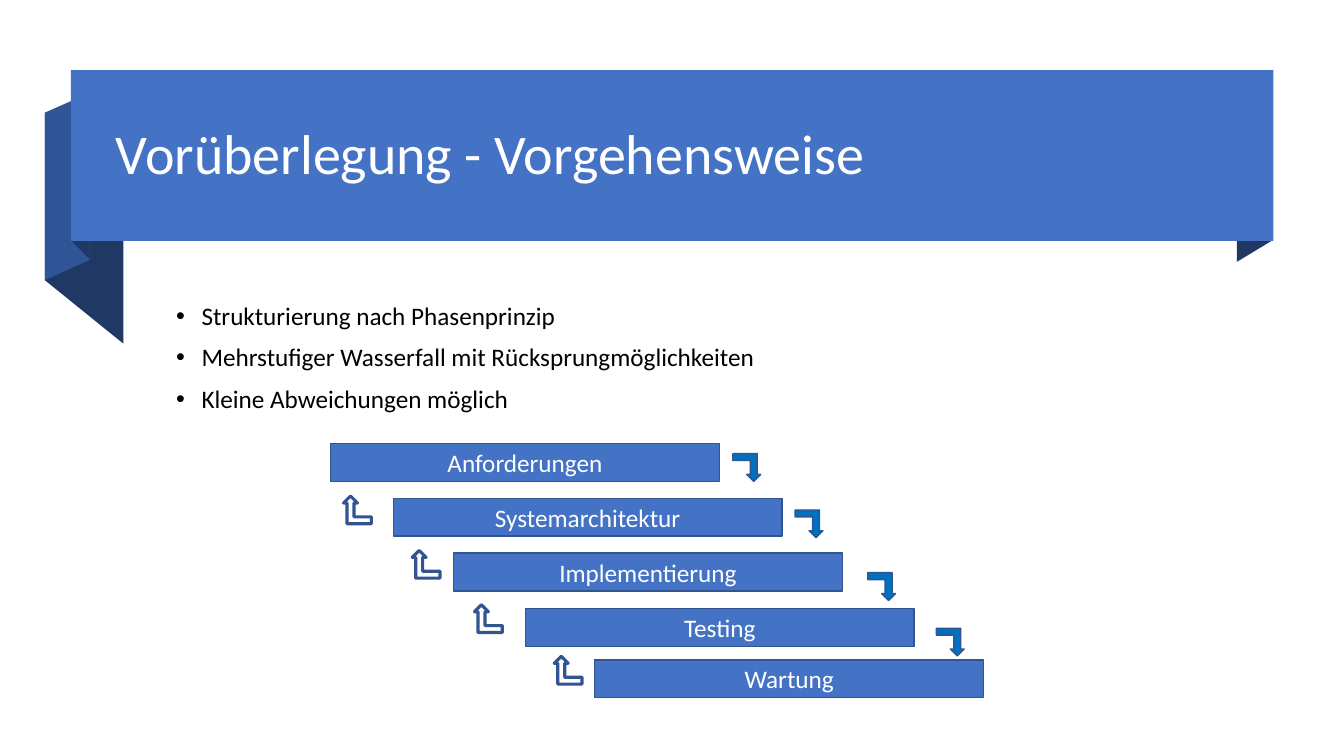
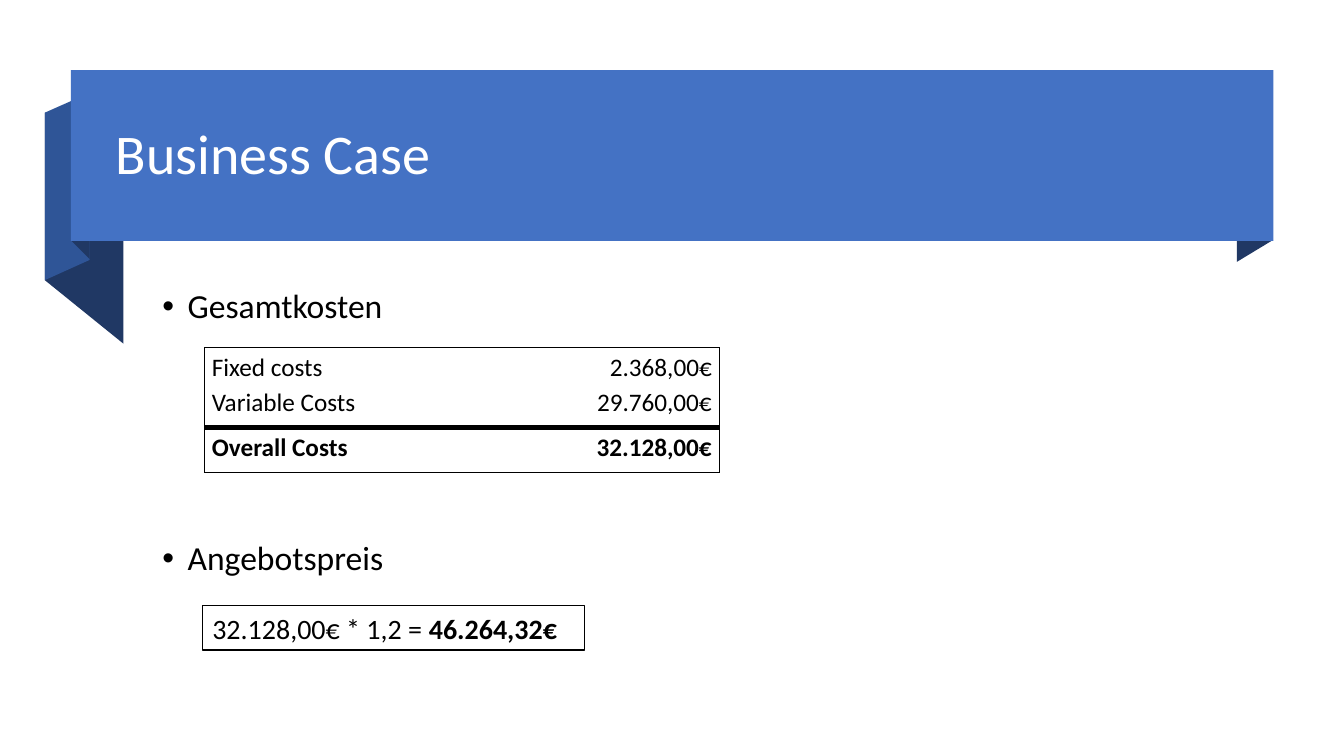
from lxml import etree
from pptx import Presentation
from pptx.dml.color import RGBColor
from pptx.enum.shapes import MSO_SHAPE
from pptx.enum.text import MSO_ANCHOR, PP_ALIGN
from pptx.oxml.ns import qn
from pptx.util import Cm, Pt

# Shared style
FONT = "Calibri"
BLUE = RGBColor(0x44, 0x72, 0xC4)
SIDE_BLUE = RGBColor(0x2F, 0x55, 0x97)
NAVY = RGBColor(0x20, 0x38, 0x64)
OUTLINE = RGBColor(0x32, 0x54, 0x91)
ARROW_BLUE = RGBColor(0x00, 0x70, 0xC0)
WHITE = RGBColor(0xFF, 0xFF, 0xFF)
BLACK = RGBColor(0x00, 0x00, 0x00)

RECTANGLE = MSO_SHAPE.RECTANGLE
BENT_ARROW = MSO_SHAPE.BENT_UP_ARROW
TOP, MIDDLE = MSO_ANCHOR.TOP, MSO_ANCHOR.MIDDLE
LEFT, CENTER, RIGHT = PP_ALIGN.LEFT, PP_ALIGN.CENTER, PP_ALIGN.RIGHT

# Folded ribbon behind the title band, back to front, in cm
RIBBON_FOLDS = [
    (NAVY, [(3.11, 8.66), (1.13, 7.06), (1.13, 2.84), (3.11, 4.45)]),
    (SIDE_BLUE, [(2.26, 6.55), (1.13, 7.06), (1.13, 2.84), (2.26, 2.34)]),
    (NAVY, [(2.26, 6.53), (1.8, 6.07), (1.8, 1.78), (2.26, 2.26)]),
    (NAVY, [(32.08, 6.05), (31.17, 6.6), (31.17, 2.31), (32.08, 1.78)]),
]


class Deck:
    """Holds the presentation, its style and the current slide."""

    def __init__(self):
        self.presentation = Presentation()
        self.presentation.slide_width = Cm(33.87)
        self.presentation.slide_height = Cm(19.05)
        self.slide = None

    def add_slide(self, title):
        layout = self.presentation.slide_layouts[6]
        self.slide = self.presentation.slides.add_slide(layout)
        for color, points in RIBBON_FOLDS:
            self.fold(color, points)
        self.shape(RECTANGLE, 1.79, 1.77, 30.3, 4.3, BLUE)
        frame = self.text_frame(2.67, 2.24, 28.52, 3.38, MIDDLE)
        frame.text = title
        frame.paragraphs[0].line_spacing = 0.9
        self.format(frame.paragraphs[0], 40, WHITE)

    def format(self, paragraph, size, color, bold=False):
        for run in paragraph.runs:
            run.font.name = FONT
            run.font.size = Pt(size)
            run.font.color.rgb = color
            run.font.bold = bold

    def paint(self, shape, fill, line=None, width=1):
        shape.shadow.inherit = False
        shape.fill.solid()
        shape.fill.fore_color.rgb = fill
        if line is None:
            shape.line.fill.background()
        else:
            shape.line.color.rgb = line
            shape.line.width = Pt(width)

    def fold(self, color, points):
        corners = [(Cm(x), Cm(y)) for x, y in points]
        builder = self.slide.shapes.build_freeform(*corners[0])
        builder.add_line_segments(corners[1:], close=True)
        self.paint(builder.convert_to_shape(), color)

    def shape(self, kind, left, top, width, height, fill, line=None, line_width=1):
        shape = self.slide.shapes.add_shape(
            kind, Cm(left), Cm(top), Cm(width), Cm(height))
        self.paint(shape, fill, line, line_width)
        return shape

    def text_frame(self, left, top, width, height, anchor):
        box = self.slide.shapes.add_textbox(Cm(left), Cm(top), Cm(width), Cm(height))
        frame = box.text_frame
        frame.word_wrap = True
        frame.vertical_anchor = anchor
        return frame

    def bullets(self, left, top, height, items, size):
        frame = self.text_frame(left, top, 26.97, height, TOP)
        frame.text = "\n".join(items)
        for index, paragraph in enumerate(frame.paragraphs):
            properties = paragraph._p.get_or_add_pPr()
            properties.set("marL", str(Cm(0.64)))
            properties.set("indent", str(-Cm(0.64)))
            etree.SubElement(properties, qn("a:buFont")).set("typeface", "Arial")
            etree.SubElement(properties, qn("a:buChar")).set("char", "•")
            paragraph.line_spacing = 0.9
            if index:
                paragraph.space_before = Pt(10)
            self.format(paragraph, size, BLACK)

    def phase(self, left, top, label):
        box = self.shape(RECTANGLE, left, top, 9.8, 0.95, BLUE, OUTLINE)
        frame = box.text_frame
        frame.text = label
        frame.vertical_anchor = MIDDLE
        frame.paragraphs[0].alignment = CENTER
        self.format(frame.paragraphs[0], 18, WHITE)

    def arrow(self, left, top, fill, line_width, rotation=0):
        arrow = self.shape(BENT_ARROW, left, top, 0.7, 0.7, fill, OUTLINE, line_width)
        arrow._element.spPr.xfrm.set("flipH", "1")
        arrow.rotation = rotation

    def border(self, cell, side, width):
        properties = cell._tc.get_or_add_tcPr()
        line = etree.SubElement(properties, qn("a:ln" + side), w=str(Pt(width)))
        if not width:
            etree.SubElement(line, qn("a:noFill"))
            return
        fill = etree.SubElement(line, qn("a:solidFill"))
        etree.SubElement(fill, qn("a:srgbClr")).set("val", str(BLACK))

    def cost_table(self, left, top, column_width, row_heights, rows):
        """Draws a thin frame with a thick rule above the total row."""
        table = self.slide.shapes.add_table(
            len(rows), 2, Cm(left), Cm(top),
            Cm(2 * column_width), Cm(sum(row_heights))).table
        table.first_row = table.horz_banding = False
        for column in table.columns:
            column.width = Cm(column_width)
        last = len(rows) - 1
        rules = [0.5] + [0] * (last - 1) + [4, 0.5]
        for row_index, values in enumerate(rows):
            table.rows[row_index].height = Cm(row_heights[row_index])
            for column_index, value in enumerate(values):
                cell = table.cell(row_index, column_index)
                cell.margin_left = cell.margin_right = Cm(0.19)
                cell.margin_top = cell.margin_bottom = 0
                self.border(cell, "L", 0 if column_index else 0.5)
                self.border(cell, "R", 0.5 if column_index else 0)
                self.border(cell, "T", rules[row_index])
                self.border(cell, "B", rules[row_index + 1])
                cell.fill.background()
                cell.text_frame.text = value
                paragraph = cell.text_frame.paragraphs[0]
                paragraph.alignment = RIGHT if column_index else LEFT
                paragraph.line_spacing = 1.15
                self.format(paragraph, 18, BLACK, row_index == last)

    def price_box(self, left, top, width, height, formula, result):
        box = self.shape(RECTANGLE, left, top, width, height, WHITE, BLACK)
        frame = box.text_frame
        frame.vertical_anchor = MIDDLE
        paragraph = frame.paragraphs[0]
        paragraph.alignment = LEFT
        for part in (formula, result):
            paragraph.add_run().text = part
        self.format(paragraph, 20, BLACK)
        paragraph.runs[-1].font.bold = True


def main():
    deck = Deck()

    # Waterfall process
    deck.add_slide("Vorüberlegung - Vorgehensweise")
    deck.bullets(4.19, 7.53, 3.2, [
        "Strukturierung nach Phasenprinzip",
        "Mehrstufiger Wasserfall mit Rücksprungmöglichkeiten",
        "Kleine Abweichungen möglich",
    ], 18)
    for left, top in [(8.66, 12.5), (10.39, 13.87), (11.96, 15.24), (13.97, 16.54)]:
        deck.arrow(left, top, WHITE, 2.25)
    for left, top, label in [
        (8.33, 11.18, "Anforderungen"),
        (9.91, 12.56, "Systemarchitektur"),
        (11.43, 13.94, "Implementierung"),
        (13.24, 15.34, "Testing"),
        (14.99, 16.63, "Wartung"),
    ]:
        deck.phase(left, top, label)
    for left, top in [(18.47, 11.43), (20.04, 12.85), (21.87, 14.43), (23.6, 15.83)]:
        deck.arrow(left, top, ARROW_BLUE, 1, rotation=180)

    # Costs and offer price
    deck.add_slide("Business Case")
    deck.bullets(3.84, 7.18, 1.2, ["Gesamtkosten"], 24)
    deck.cost_table(5.15, 8.76, 6.49, [0.89, 1.13, 1.13], [
        ("Fixed costs", "2.368,00€"),
        ("Variable Costs", "29.760,00€"),
        ("Overall Costs", "32.128,00€"),
    ])
    deck.bullets(3.84, 13.53, 1.2, ["Angebotspreis"], 24)
    deck.price_box(5.1, 15.26, 9.63, 1.12, "32.128,00€ * 1,2 = ", "46.264,32€")

    deck.presentation.save("out.pptx")


if __name__ == "__main__":
    main()
